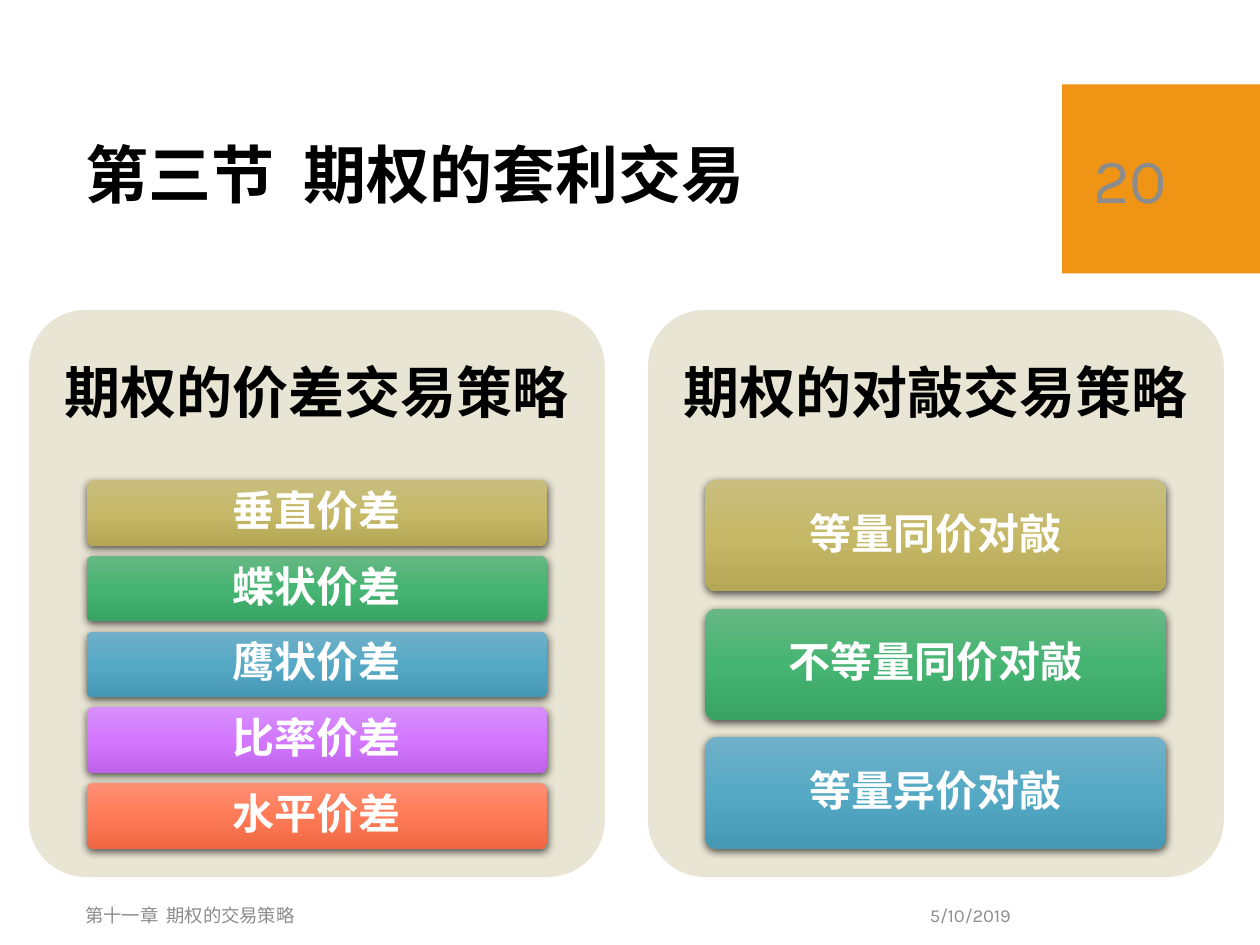
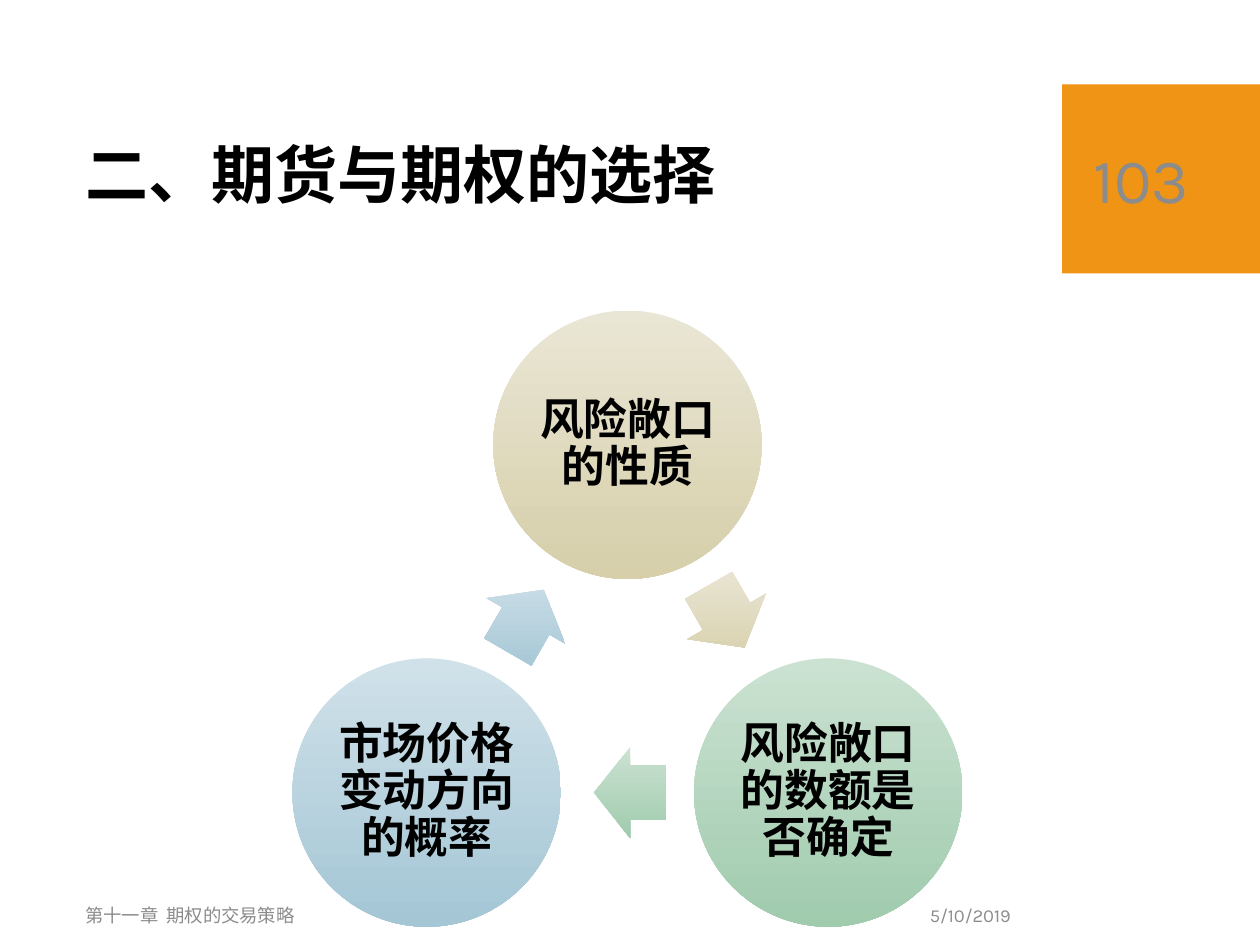
"""Build two slides on option arbitrage and on choosing between futures and options."""
from dataclasses import dataclass
from math import cos, radians, sin

from pptx import Presentation
from pptx.dml.color import RGBColor
from pptx.enum.shapes import MSO_SHAPE
from pptx.enum.text import MSO_ANCHOR, PP_ALIGN
from pptx.oxml import parse_xml
from pptx.oxml.ns import nsdecls, qn
from pptx.util import Inches, Pt

RECTANGLE, ROUNDED = MSO_SHAPE.RECTANGLE, MSO_SHAPE.ROUNDED_RECTANGLE
OVAL, ARROW = MSO_SHAPE.OVAL, MSO_SHAPE.RIGHT_ARROW
LEFT, CENTER, RIGHT = PP_ALIGN.LEFT, PP_ALIGN.CENTER, PP_ALIGN.RIGHT
MIDDLE = MSO_ANCHOR.MIDDLE

FOOTER = "第十一章  期权的交易策略"
DATE = "5/10/2019"
STRATEGIES = {
    "title": "第三节  期权的套利交易",
    "number": "20",
    "panels": [
        ("期权的价差交易策略", ["垂直价差", "蝶状价差", "鹰状价差", "比率价差", "水平价差"]),
        ("期权的对敲交易策略", ["等量同价对敲", "不等量同价对敲", "等量异价对敲"]),
    ],
}
CHOICE = {
    "title": "二、期货与期权的选择",
    "number": "103",
    "factors": ["风险敞口的性质", "风险敞口的数额是否确定", "市场价格变动方向的概率"],
}


@dataclass(frozen=True)
class Theme:
    """Colours, font and type sizes of the deck."""
    font: str = "Karla"
    ink: str = "000000"
    light: str = "FFFFFF"
    muted: str = "8C8C8C"
    accent: str = "F09415"
    panel: str = "E9E5D4"
    bars: tuple = (
        ("C8BE7F", "C5B867", "B4A756"),
        ("67B884", "46B472", "3AA464"),
        ("71B0C8", "55A9C5", "4798B4"),
        ("D790FB", "D377FF", "BE62EA"),
        ("FD8F75", "FF7B57", "EE6742"),
    )
    circles: tuple = (("EAE6D5", "D6CFAA"), ("CBE2D2", "A0CBAD"), ("D0E1E9", "A4C6D5"))
    title_size: float = 36
    heading_size: float = 32
    circle_size: float = 25
    bar_size: float = 24
    footer_size: float = 10.5


THEME = Theme()
TITLE_AREA = (0.58, 0.82, 7.54, 1.18)
NUMBER_BLOCK = (8.43, 0.67, 1.57, 1.5)
NUMBER_AREA = (8.58, 0.82, 1.27, 1.19)
FOOTER_AREA = (0.58, 7.06, 5.29, 0.4)
DATE_AREA = (5.87, 7.06, 2.25, 0.4)
PANEL_LEFT, PANEL_TOP, PANEL_WIDTH, PANEL_HEIGHT = 0.23, 2.46, 4.57, 4.5
PANEL_PITCH = 1.075 * PANEL_WIDTH
HEADING_HEIGHT, BARS_HEIGHT = 0.3 * PANEL_HEIGHT, 0.65 * PANEL_HEIGHT
BAR_INDENT, BAR_WIDTH = 0.1 * PANEL_WIDTH, 0.8 * PANEL_WIDTH
BAR_GAP_SHARE = 2 / 13
CYCLE_X, CYCLE_Y, CYCLE_RADIUS = 4.98, 5.37, 1.84
CIRCLE_SIZE = 2.13
ARROW_LENGTH, ARROW_BREADTH, ARROW_SETBACK = 0.57, 0.72, 0.02


def write(box, text, size, color=THEME.ink, bold=False, align=LEFT, spacing=1.0, insets=None):
    """Fill a text-bearing shape with one formatted paragraph."""
    frame = box.text_frame
    frame.word_wrap = True
    frame.vertical_anchor = MIDDLE
    if insets:
        side, end = (Inches(inset) for inset in insets)
        frame.margin_left = frame.margin_right = side
        frame.margin_top = frame.margin_bottom = end
    para = frame.paragraphs[0]
    para.alignment, para.line_spacing = align, spacing
    span = para.add_run()
    span.text = text
    span.font.name, span.font.size, span.font.bold = THEME.font, Pt(size), bold
    span.font.color.rgb = RGBColor.from_string(color)


def add_text(page, area, text, size, **formats):
    """Add a text box over an area given in inches."""
    write(page.shapes.add_textbox(*map(Inches, area)), text, size, **formats)


def add_block(page, kind, area, colors, adjustments=(), shadow=False):
    """Add an unlined shape with one flat colour or a vertical gradient."""
    block = page.shapes.add_shape(kind, *map(Inches, area))
    block.shadow.inherit = False
    block.line.fill.background()
    for index, value in enumerate(adjustments):
        block.adjustments[index] = value
    properties = block._element.spPr
    if isinstance(colors, str):
        block.fill.solid()
        block.fill.fore_color.rgb = RGBColor.from_string(colors)
    else:
        stops = "".join(
            f'<a:gs pos="{100000 * index // (len(colors) - 1)}"><a:srgbClr val="{color}"/></a:gs>'
            for index, color in enumerate(colors))
        block.fill.background()
        properties.replace(properties.find(qn("a:noFill")), parse_xml(
            f'<a:gradFill {nsdecls("a")} rotWithShape="0"><a:gsLst>{stops}</a:gsLst>'
            '<a:lin ang="5400000" scaled="0"/></a:gradFill>'))
    if shadow:
        properties.find(qn("a:effectLst")).append(parse_xml(
            f'<a:outerShdw {nsdecls("a")} blurRad="{Pt(4.5)}" dist="{Pt(1.5)}" dir="5400000" '
            'algn="ctr" rotWithShape="0"><a:srgbClr val="000000"><a:alpha val="63000"/>'
            '</a:srgbClr></a:outerShdw>'))
    return block


def add_page(deck, content):
    """Add a slide with its title, number block and footer."""
    page = deck.slides.add_slide(deck.slide_layouts[5])
    title = page.shapes.title
    title.left, title.top, title.width, title.height = map(Inches, TITLE_AREA)
    write(title, content["title"], THEME.title_size, bold=True, spacing=0.9)
    add_block(page, RECTANGLE, NUMBER_BLOCK, THEME.accent)
    add_text(page, NUMBER_AREA, content["number"], THEME.title_size, color=THEME.muted)
    return page


def add_footer(page):
    """Add the chapter name and the date at the foot of a slide."""
    for area, text, align in ((DATE_AREA, DATE, RIGHT), (FOOTER_AREA, FOOTER, LEFT)):
        add_text(page, area, text, THEME.footer_size, color=THEME.muted, align=align)


def add_panel(page, left, heading, names):
    """Add a headed panel whose bars share its height evenly."""
    add_block(page, ROUNDED, (left, PANEL_TOP, PANEL_WIDTH, PANEL_HEIGHT), THEME.panel, [0.1])
    add_text(page, (left, PANEL_TOP, PANEL_WIDTH, HEADING_HEIGHT), heading, THEME.heading_size,
             bold=True, align=CENTER, spacing=0.9, insets=(0.13, 0.13))
    height = BARS_HEIGHT / (len(names) + (len(names) - 1) * BAR_GAP_SHARE)
    for row, (name, colors) in enumerate(zip(names, THEME.bars)):
        top = PANEL_TOP + HEADING_HEIGHT + row * height * (1 + BAR_GAP_SHARE)
        bar = add_block(page, ROUNDED, (left + BAR_INDENT, top, BAR_WIDTH, height),
                        colors, [0.1], shadow=True)
        write(bar, name, THEME.bar_size, color=THEME.light, bold=True, align=CENTER,
              spacing=0.9, insets=(0.07, 0.05))


def centered(x, y, width, height):
    """Return the area of the given size around a centre."""
    return x - width / 2, y - height / 2, width, height


def add_cycle(page, factors):
    """Add circles on a ring, each followed by an arrow to the next."""
    step = 360 / len(factors)
    for index, (factor, colors) in enumerate(zip(factors, THEME.circles)):
        angle = radians(index * step - 90)
        circle = add_block(page, OVAL, centered(
            CYCLE_X + CYCLE_RADIUS * cos(angle), CYCLE_Y + CYCLE_RADIUS * sin(angle),
            CIRCLE_SIZE, CIRCLE_SIZE), colors)
        write(circle, factor, THEME.circle_size, bold=True, align=CENTER, spacing=0.9,
              insets=(0.03, 0.03))
        middle = angle + radians(step / 2)
        reach = CYCLE_RADIUS * cos(radians(step / 2))
        turn = (index + 0.5) * step
        arrow = add_block(page, ARROW, centered(
            CYCLE_X + reach * cos(middle) - ARROW_SETBACK * cos(radians(turn)),
            CYCLE_Y + reach * sin(middle) - ARROW_SETBACK * sin(radians(turn)),
            ARROW_LENGTH, ARROW_BREADTH), colors, [0.6, 0.5])
        arrow.rotation = turn


def main():
    """Build and save the deck."""
    deck = Presentation()
    deck.slide_width, deck.slide_height = Inches(10), Inches(7.5)
    page = add_page(deck, STRATEGIES)
    for column, (heading, names) in enumerate(STRATEGIES["panels"]):
        add_panel(page, PANEL_LEFT + column * PANEL_PITCH, heading, names)
    add_footer(page)
    page = add_page(deck, CHOICE)
    add_cycle(page, CHOICE["factors"])
    add_footer(page)
    deck.save("out.pptx")


if __name__ == "__main__":
    main()
